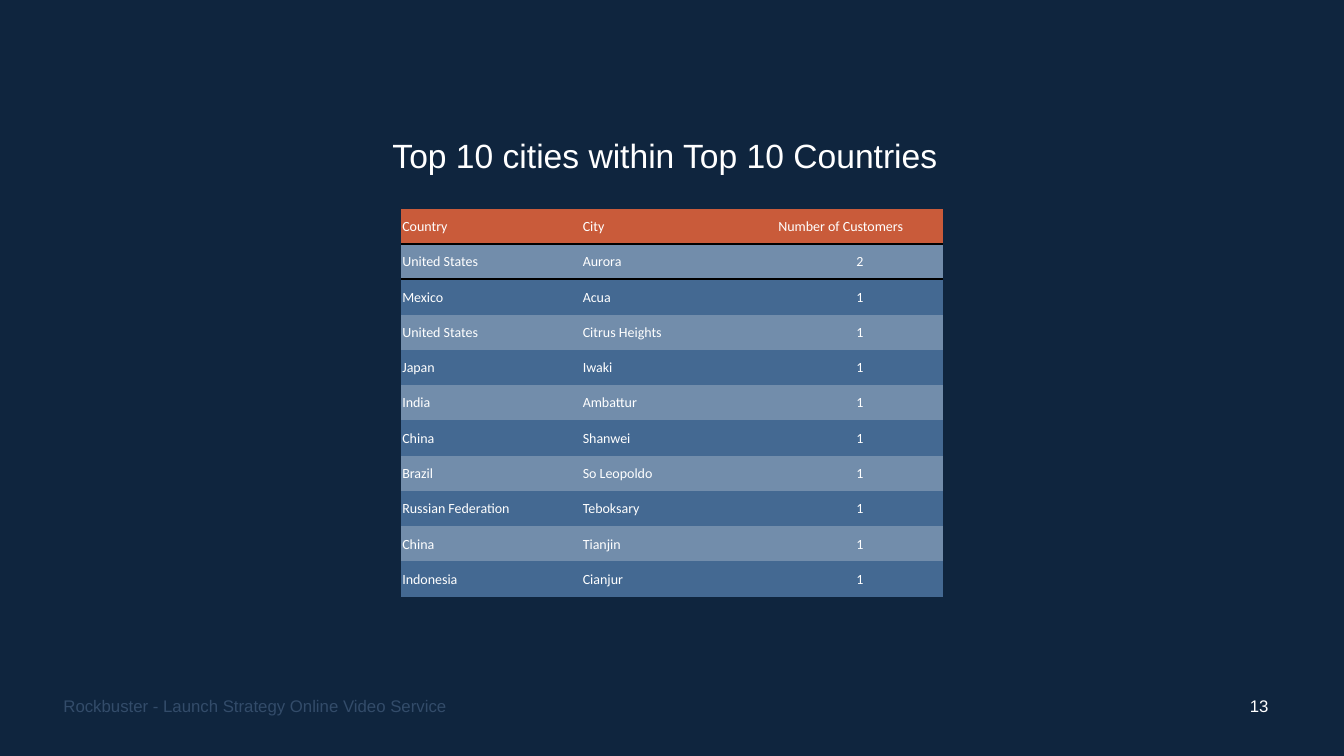
from lxml.etree import SubElement
from pptx import Presentation
from pptx.dml.color import RGBColor as RGB
from pptx.enum.text import MSO_ANCHOR as ANCHOR, PP_ALIGN as ALIGN
from pptx.oxml.ns import qn
from pptx.util import Inches, Pt

COLORS = {
    "background": "0F253E",
    "text": "FFFFFF",
    "footer": "334C6A",
    "header": "C95B3A",
    "odd_row": "728DAB",
    "even_row": "446992",
    "rule": "000000",
}
WIDTH, HEIGHT = Inches(13.33), Inches(7.5)
NO_GRID_STYLE = "{2D5ABB26-0587-4C30-8999-92F81FD0307C}"
COLUMN_SHARES = [13.43, 14.55, 12.3]
ROW_SHARE = 4.67
FOOTER_TOP, FOOTER_HEIGHT = 90.67, 5.33
CITY_ROWS = [
    ("Country", "City", "Number of Customers"),
    ("United States", "Aurora", "2"),
    ("Mexico", "Acua", "1"),
    ("United States", "Citrus Heights", "1"),
    ("Japan", "Iwaki", "1"),
    ("India", "Ambattur", "1"),
    ("China", "Shanwei", "1"),
    ("Brazil", "So Leopoldo", "1"),
    ("Russian Federation", "Teboksary", "1"),
    ("China", "Tianjin", "1"),
    ("Indonesia", "Cianjur", "1"),
]


def across(share):
    return round(WIDTH * share / 100)


def down(share):
    return round(HEIGHT * share / 100)


def color(name):
    return RGB.from_string(COLORS[name])


def write(tf, text, size, font, color_name, align):
    tf.text = text
    p = tf.paragraphs[0]
    p.alignment = align
    r = p.runs[0]
    r.font.size = Pt(size)
    r.font.name = font
    r.font.color.rgb = color(color_name)
    return p


def add_title(s, text):
    sp = s.shapes.title
    sp.left, sp.top = across(4.8), down(10.53)
    sp.width, sp.height = across(89.35), down(20.67)
    tf = sp.text_frame
    tf.vertical_anchor = ANCHOR.MIDDLE
    p = write(tf, text, 24, "Arial", "text", ALIGN.CENTER)
    p.line_spacing = 0.9


def add_footer(s, text, left, width, color_name, align):
    sp = s.shapes.add_textbox(
        across(left), down(FOOTER_TOP), across(width), down(FOOTER_HEIGHT)
    )
    tf = sp.text_frame
    tf.word_wrap = True
    tf.vertical_anchor = ANCHOR.MIDDLE
    write(tf, text, 12, "Arial", color_name, align)


def add_rule(cell, side):
    props = cell._tc.get_or_add_tcPr()
    line = SubElement(props, qn(f"a:{side}"), w=str(Pt(1.5)))
    fill = SubElement(line, qn("a:solidFill"))
    SubElement(fill, qn("a:srgbClr"), val=COLORS["rule"])


def fill_cell(cell, text, row, col):
    centred = row > 0 and col == 2
    write(cell.text_frame, text, 10, "Calibri", "text",
          ALIGN.CENTER if centred else ALIGN.LEFT)
    cell.vertical_anchor = ANCHOR.MIDDLE
    cell.margin_left = cell.margin_right = cell.margin_top = Inches(0.01)
    cell.margin_bottom = 0
    if row < 2:
        add_rule(cell, "lnT" if row else "lnB")
    band = "odd_row" if row % 2 else "even_row"
    cell.fill.solid()
    cell.fill.fore_color.rgb = color(band if row else "header")


def add_city_table(s):
    frame = s.shapes.add_table(
        len(CITY_ROWS), len(COLUMN_SHARES), across(29.86), down(27.6),
        across(sum(COLUMN_SHARES)), down(ROW_SHARE * len(CITY_ROWS)),
    )
    table = frame.table
    table._tbl.tblPr.find(qn("a:tableStyleId")).text = NO_GRID_STYLE
    for column, share in zip(table.columns, COLUMN_SHARES):
        column.width = across(share)
    for row, values in enumerate(CITY_ROWS):
        table.rows[row].height = down(ROW_SHARE)
        for col, text in enumerate(values):
            fill_cell(table.cell(row, col), text, row, col)


def main():
    prs = Presentation()
    prs.slide_width, prs.slide_height = WIDTH, HEIGHT
    s = prs.slides.add_slide(prs.slide_layouts[5])
    s.background.fill.solid()
    s.background.fill.fore_color.rgb = color("background")
    add_title(s, "Top 10 cities within Top 10 Countries")
    add_city_table(s)
    add_footer(s, "Rockbuster - Launch Strategy Online Video Service",
               3.98, 33.76, "footer", ALIGN.LEFT)
    add_footer(s, "13", 91.82, 3.75, "text", ALIGN.CENTER)
    prs.save("out.pptx")


if __name__ == "__main__":
    main()
